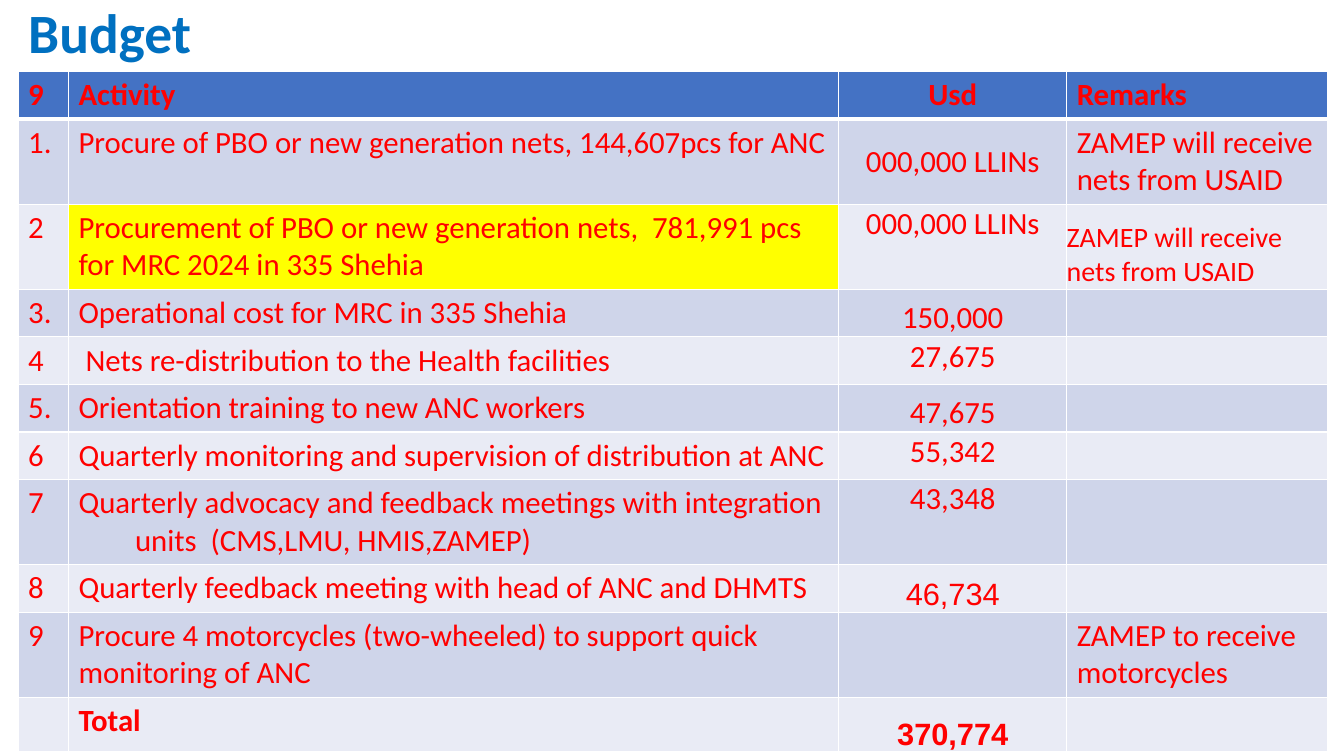
from dataclasses import dataclass

from lxml import etree
from pptx import Presentation
from pptx.dml.color import RGBColor
from pptx.enum.text import MSO_ANCHOR, PP_ALIGN
from pptx.oxml.ns import qn
from pptx.util import Inches, Pt


@dataclass(frozen=True)
class Theme:
    title: str = "0070C0"
    text: str = "FF0000"
    header: str = "4472C4"
    odd: str = "CFD5EA"
    even: str = "E9EBF5"
    highlight: str = "FFFF00"
    border: str = "FFFFFF"
    font: str = "Calibri"
    amount_font: str = "Arial"
    title_size: float = 39.6
    body_size: float = 22
    small_size: float = 20


theme = Theme()


def add_span(para, text, size, color, font=theme.font, bold=False):
    span = para.add_run()
    span.text = text
    span.font.size = Pt(size)
    span.font.name = font
    span.font.bold = bold
    span.font.color.rgb = RGBColor.from_string(color)


def set_margins(cell, left, top, right, bottom):
    cell.margin_left = Inches(left)
    cell.margin_top = Inches(top)
    cell.margin_right = Inches(right)
    cell.margin_bottom = Inches(bottom)


budget = [
    ("9", "Activity", "Usd", "Remarks"),
    ("1.", "Procure of PBO or new generation nets, 144,607pcs for ANC",
     "000,000 LLINs", "ZAMEP will receive nets from USAID"),
    ("2", "Procurement of PBO or new generation nets,  781,991 pcs for MRC 2024 in 335 Shehia",
     "000,000 LLINs", "ZAMEP will receive nets from USAID"),
    ("3.", "Operational cost for MRC in 335 Shehia", "150,000", ""),
    ("4", " Nets re-distribution to the Health facilities", "27,675", ""),
    ("5.", "Orientation training to new ANC workers", "47,675", ""),
    ("6", "Quarterly monitoring and supervision of distribution at ANC", "55,342", ""),
    ("7", "Quarterly advocacy and feedback meetings with integration units  (CMS,LMU, HMIS,ZAMEP)",
     "43,348", ""),
    ("8", "Quarterly feedback meeting with head of ANC and DHMTS", "46,734", ""),
    ("9", "Procure 4 motorcycles (two-wheeled) to support quick monitoring of ANC",
     "", "ZAMEP to receive motorcycles"),
    ("", "Total", "370,774", ""),
]
column_widths = [0.5, 7.64, 2.26, 2.59]
row_heights = [0.45, 0.81, 0.81, 0.45, 0.45, 0.45, 0.37, 0.81, 0.45, 0.51, 0.54]
total_row = len(budget) - 1
anchors = {(1, 2): MSO_ANCHOR.MIDDLE, (2, 3): MSO_ANCHOR.BOTTOM}
anchors.update({(row, 2): MSO_ANCHOR.BOTTOM for row in (3, 5, 8, total_row)})
hanging_rows = (1, 6, 7)
arial_rows = (8, total_row)
small_remark = (2, 3)
highlighted = (2, 1)

deck = Presentation()
deck.slide_width = Inches(13.33)
deck.slide_height = Inches(7.5)
page = deck.slides.add_slide(deck.slide_layouts[5])

title = page.shapes.title
title.left, title.top = Inches(0.18), Inches(0)
title.width, title.height = Inches(10.99), Inches(0.7)
title.text_frame.vertical_anchor = MSO_ANCHOR.MIDDLE
para = title.text_frame.paragraphs[0]
para.alignment = PP_ALIGN.LEFT
para.line_spacing = 0.9
add_span(para, "Budget", theme.title_size, theme.title, bold=True)

table = page.shapes.add_table(
    len(budget), len(column_widths),
    Inches(0.18), Inches(0.71), Inches(12.98), Inches(6.1),
).table
for column, width in zip(table.columns, column_widths):
    column.width = Inches(width)
for table_row, height in zip(table.rows, row_heights):
    table_row.height = Inches(height)

for row, entries in enumerate(budget):
    band = theme.header if row == 0 else theme.odd if row % 2 else theme.even
    for col, text in enumerate(entries):
        place = (row, col)
        cell = table.cell(row, col)
        cell.fill.solid()
        cell.fill.fore_color.rgb = RGBColor.from_string(
            theme.highlight if place == highlighted else band)
        if row == 0:
            border = etree.Element(qn("a:lnB"), w=str(Pt(3)))
            fill = etree.SubElement(border, qn("a:solidFill"))
            etree.SubElement(fill, qn("a:srgbClr"), val=theme.border)
            cell._tc.get_or_add_tcPr().insert(0, border)
        if not text:
            continue
        cell.vertical_anchor = anchors.get(place, MSO_ANCHOR.TOP)
        is_amount = col == 2 and row > 0
        if is_amount:
            set_margins(cell, 0.01, 0.01, 0.01, 0)
        elif place == small_remark:
            set_margins(cell, 0, 0, 0, 0)
        else:
            set_margins(cell, 0.1, 0.05, 0.1, 0.05)
        para = cell.text_frame.paragraphs[0]
        para.alignment = PP_ALIGN.CENTER if col == 2 else PP_ALIGN.LEFT
        if col == 1 and row in hanging_rows:
            properties = para._p.get_or_add_pPr()
            properties.set("marL", str(Inches(0.56)))
            properties.set("indent", str(-Inches(0.56)))
            if row == 1:
                para.alignment = PP_ALIGN.JUSTIFY
        add_span(
            para, text,
            theme.small_size if place == small_remark else theme.body_size,
            theme.text,
            theme.amount_font if is_amount and row in arial_rows else theme.font,
            row in (0, total_row),
        )

deck.save("out.pptx")
